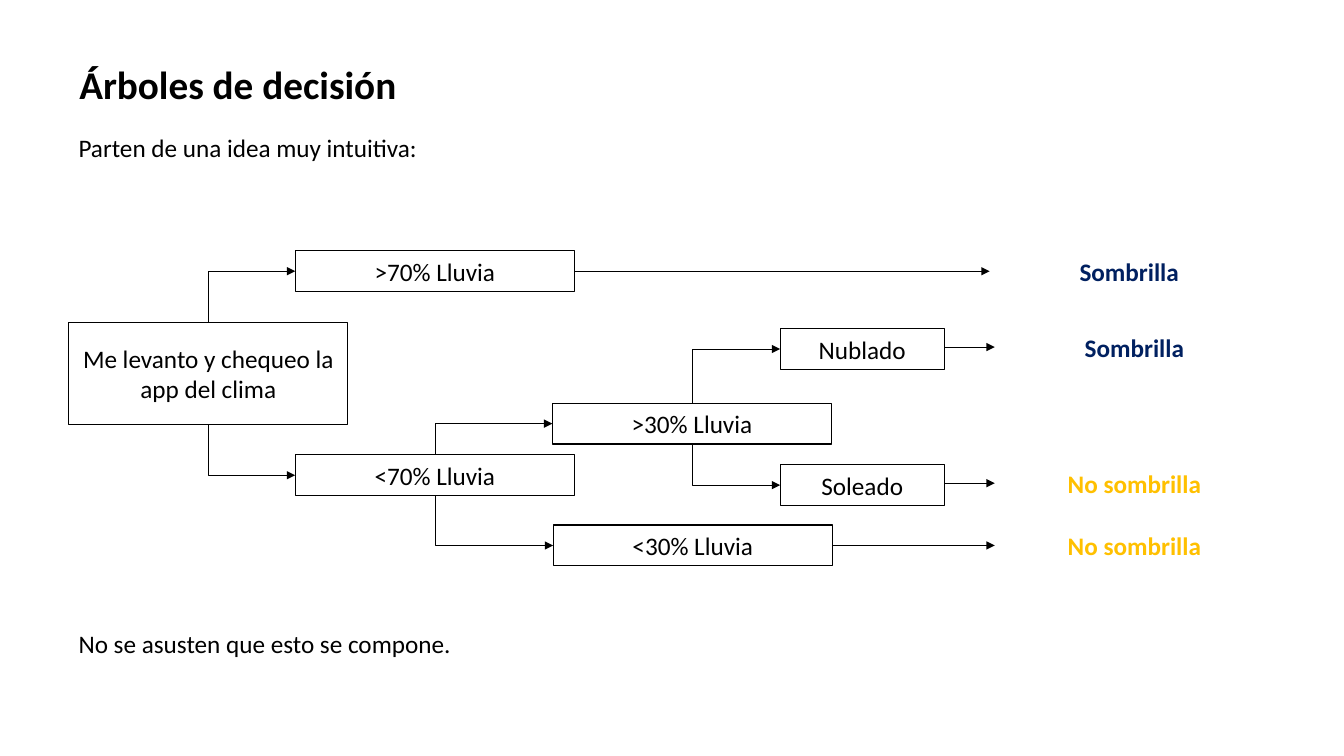
from dataclasses import dataclass

from lxml import etree
from pptx import Presentation
from pptx import util as u
from pptx.dml.color import RGBColor
from pptx.enum import shapes, text
from pptx.oxml.ns import qn


@dataclass(frozen=True)
class Theme:
    font: str = "Calibri"
    title_size: int = 28
    body_size: int = 18
    box_line: float = 0.75
    arrow_line: float = 0.5
    black: RGBColor = RGBColor(0x00, 0x00, 0x00)
    umbrella: RGBColor = RGBColor(0x00, 0x20, 0x60)
    no_umbrella: RGBColor = RGBColor(0xFF, 0xC0, 0x00)


THEME = Theme()
NODE_WIDTH = 7.04
NODE_HEIGHT = 1.03
TOP, LEFT, BOTTOM = 0, 1, 2  # connection sites of a rectangle


@dataclass(frozen=True)
class Node:
    label: str
    left: float
    top: float
    width: float = NODE_WIDTH
    height: float = NODE_HEIGHT


@dataclass(frozen=True)
class Outcome:
    source: str
    label: str
    left: float
    top: float
    color: RGBColor


ROOT = "Me levanto y chequeo la app del clima"
NODES = [
    Node(ROOT, 1.73, 8.13, height=2.57),
    Node(">70% Lluvia", 7.44, 6.32),
    Node("<70% Lluvia", 7.44, 11.46),
    Node(">30% Lluvia", 13.92, 10.16),
    Node("<30% Lluvia", 13.94, 13.23),
    Node("Nublado", 19.66, 8.28, width=4.14),
    Node("Soleado", 19.66, 11.71, width=4.14),
]
# Each question leads to an upper and a lower branch.
BRANCHES = {
    ROOT: (">70% Lluvia", "<70% Lluvia"),
    "<70% Lluvia": (">30% Lluvia", "<30% Lluvia"),
    ">30% Lluvia": ("Nublado", "Soleado"),
}
OUTCOMES = [
    Outcome(">70% Lluvia", "Sombrilla", 24.94, 6.32, THEME.umbrella),
    Outcome("Nublado", "Sombrilla", 25.07, 8.23, THEME.umbrella),
    Outcome("Soleado", "No sombrilla", 25.07, 11.66, THEME.no_umbrella),
    Outcome("<30% Lluvia", "No sombrilla", 25.07, 13.23, THEME.no_umbrella),
]


def write_text(shape, content: str, *, size: float = THEME.body_size,
               color: RGBColor = THEME.black, bold: bool = False,
               align=text.PP_ALIGN.CENTER, line_spacing: float = 1.0) -> None:
    frame = shape.text_frame
    frame.word_wrap = True
    frame.vertical_anchor = text.MSO_ANCHOR.MIDDLE
    paragraph = frame.paragraphs[0]
    paragraph.alignment = align
    paragraph.line_spacing = line_spacing
    run = paragraph.add_run()
    run.text = content
    run.font.name = THEME.font
    run.font.size = u.Pt(size)
    run.font.bold = bold
    run.font.color.rgb = color


def add_label(slide, content: str, left: float, top: float,
              width: float, height: float, **text_format):
    label = slide.shapes.add_textbox(u.Cm(left), u.Cm(top), u.Cm(width), u.Cm(height))
    write_text(label, content, **text_format)
    return label


def add_node(slide, node: Node):
    box = slide.shapes.add_shape(
        shapes.MSO_SHAPE.RECTANGLE,
        u.Cm(node.left), u.Cm(node.top), u.Cm(node.width), u.Cm(node.height))
    box.shadow.inherit = False
    box.fill.background()
    box.line.color.rgb = THEME.black
    box.line.width = u.Pt(THEME.box_line)
    write_text(box, node.label)
    return box


def style_arrow(connector) -> None:
    connector.line.color.rgb = THEME.black
    connector.line.width = u.Pt(THEME.arrow_line)
    line = connector.line._get_or_add_ln()
    etree.SubElement(line, qn("a:tailEnd"), type="triangle")
    etree.SubElement(connector._element.spPr, qn("a:effectLst"))


def add_branch(slide, question, answer, site: int) -> None:
    """Join a question's top or bottom to an answer's left with a one-corner arrow."""
    connector = slide.shapes.add_connector(shapes.MSO_CONNECTOR.ELBOW, 0, 0, 0, 0)
    connector.begin_connect(question, site)
    connector.end_connect(answer, LEFT)
    run = connector.end_x - connector.begin_x
    rise = abs(connector.end_y - connector.begin_y)
    center_x = (connector.begin_x + connector.end_x) // 2
    center_y = (connector.begin_y + connector.end_y) // 2

    # The one-corner preset starts sideways, so it is turned to start vertically.
    connector.left, connector.top = center_x - rise // 2, center_y - run // 2
    connector.width, connector.height = rise, run
    properties = connector._element.spPr
    properties.find(qn("a:prstGeom")).set("prst", "bentConnector2")
    transform = properties.find(qn("a:xfrm"))
    upward = site == TOP
    transform.set("rot", str((90 if upward else 270) * 60000))
    transform.set("flipH", "1")
    transform.set("flipV", "1" if upward else "0")
    style_arrow(connector)


def add_level_arrow(slide, box, label) -> None:
    y = label.top + label.height // 2
    connector = slide.shapes.add_connector(
        shapes.MSO_CONNECTOR.STRAIGHT, box.left + box.width, y, label.left, y)
    style_arrow(connector)


def main() -> None:
    presentation = Presentation()
    presentation.slide_width = u.Cm(33.87)
    presentation.slide_height = u.Cm(19.05)
    slide = presentation.slides.add_slide(presentation.slide_layouts[6])

    add_label(slide, "Árboles de decisión", 1.75, 1.12, 30, 2,
              size=THEME.title_size, bold=True, align=text.PP_ALIGN.LEFT)
    for sentence, top in (("Parten de una idea muy intuitiva:", 2.87),
                          ("No se asusten que esto se compone.", 15.37)):
        add_label(slide, sentence, 1.73, top, 30, 1.3,
                  align=text.PP_ALIGN.LEFT, line_spacing=1.5)

    boxes = {node.label: add_node(slide, node) for node in NODES}
    for question, (upper, lower) in BRANCHES.items():
        add_branch(slide, boxes[question], boxes[upper], TOP)
        add_branch(slide, boxes[question], boxes[lower], BOTTOM)
    for outcome in OUTCOMES:
        label = add_label(slide, outcome.label, outcome.left, outcome.top,
                          NODE_WIDTH, NODE_HEIGHT, color=outcome.color, bold=True)
        add_level_arrow(slide, boxes[outcome.source], label)

    presentation.save("out.pptx")


if __name__ == "__main__":
    main()
